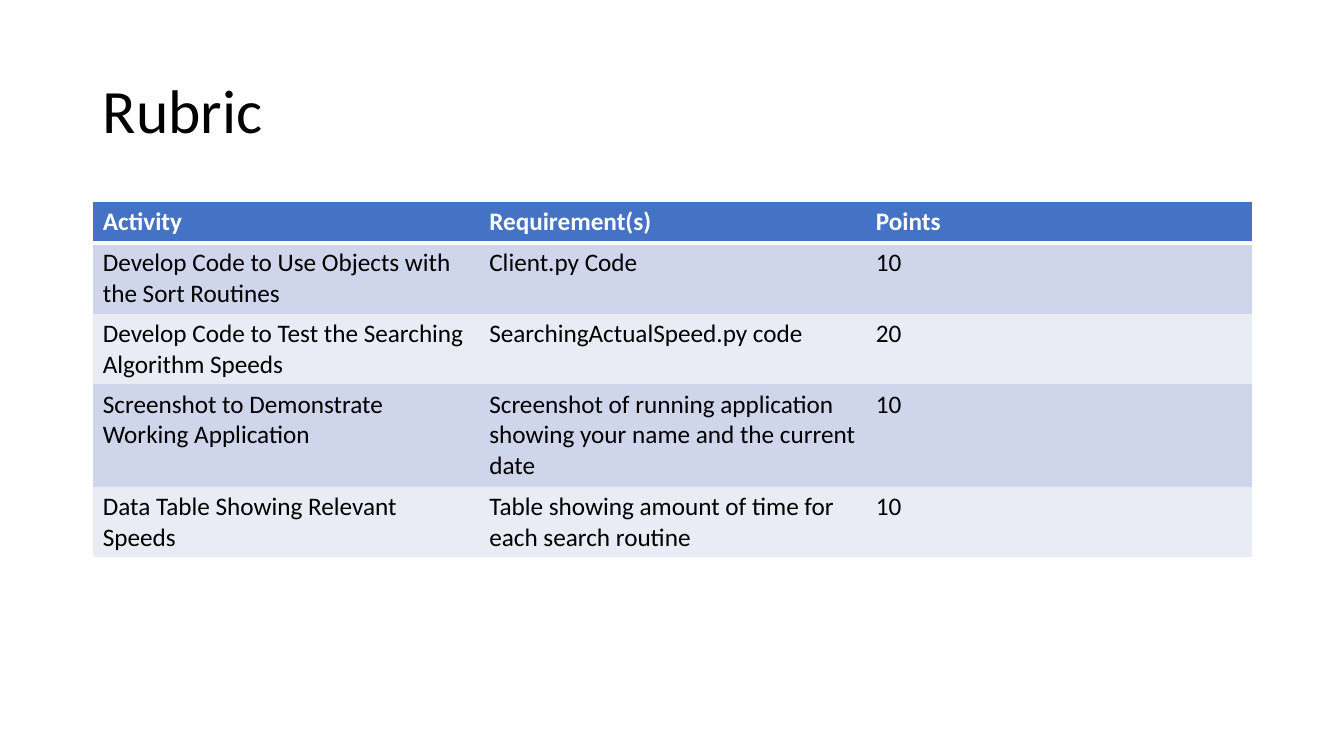
"""Build the rubric slide: a title above a banded table of graded activities."""
from lxml.etree import SubElement as Sub
from pptx import Presentation
from pptx.dml.color import RGBColor as RGB
from pptx.enum.text import MSO_ANCHOR as Anchor
from pptx.oxml.ns import qn
from pptx.util import Inches, Pt

WHITE = RGB(0xFF, 0xFF, 0xFF)
BLACK = RGB(0x00, 0x00, 0x00)
BLUE = RGB(0x44, 0x72, 0xC4)
BANDS = [RGB(0xE9, 0xEB, 0xF5), RGB(0xCF, 0xD5, 0xEA)]
FONT = "Calibri"
NO_GRID = "{2D5ABB26-0587-4C30-8999-92F81FD0307C}"

ROWS = [
    ("Activity", "Requirement(s)", "Points"),
    ("Develop Code to Use Objects with the Sort Routines",
     "Client.py Code", "10"),
    ("Develop Code to Test the Searching Algorithm Speeds",
     "SearchingActualSpeed.py code", "20"),
    ("Screenshot to Demonstrate Working Application",
     "Screenshot of running application showing your name and the current date",
     "10"),
    ("Data Table Showing Relevant Speeds",
     "Table showing amount of time for each search routine", "10"),
]
HEIGHTS = [0.41, 0.7, 0.7, 1.02, 0.7]


def style(para, size, color, bold=False):
    font = para.runs[0].font
    font.name, font.size, font.bold = FONT, Pt(size), bold
    font.color.rgb = color


def edge(cell, tag, width):
    line = Sub(cell._tc.get_or_add_tcPr(), qn(tag), w=str(Pt(width)))
    Sub(Sub(line, qn("a:solidFill")), qn("a:srgbClr"), val=str(WHITE))


deck = Presentation()
deck.slide_width, deck.slide_height = Inches(13.33), Inches(7.5)
slide = deck.slides.add_slide(deck.slide_layouts[6])
left, wide = Inches(0.92), Inches(11.5)

title = slide.shapes.add_textbox(left, Inches(0.4), wide, Inches(1.45))
frame = title.text_frame
frame.word_wrap = True
frame.vertical_anchor = Anchor.MIDDLE
frame.text = "Rubric"
frame.paragraphs[0].line_spacing = 0.9
style(frame.paragraphs[0], 44, BLACK)

last, end = len(ROWS) - 1, len(ROWS[0]) - 1
grid = slide.shapes.add_table(
    last + 1, end + 1, left, Inches(2), wide, Inches(sum(HEIGHTS)))
table = grid.table
table._tbl.tblPr.find(qn("a:tableStyleId")).text = NO_GRID

for r, (row, tall) in enumerate(zip(ROWS, HEIGHTS)):
    table.rows[r].height = Inches(tall)
    head = r == 0
    for c, text in enumerate(row):
        cell = table.cell(r, c)
        cell.text_frame.text = text
        style(cell.text_frame.paragraphs[0], 18, WHITE if head else BLACK, head)
        edges = [("a:lnL", c == 0, 1), ("a:lnR", c == end, 1),
                 ("a:lnT", head, 1), ("a:lnB", head or r == last, 3 if head else 1)]
        for tag, shown, width in edges:
            if shown:
                edge(cell, tag, width)
        cell.fill.solid()
        cell.fill.fore_color.rgb = BLUE if head else BANDS[r % 2]

deck.save("out.pptx")
